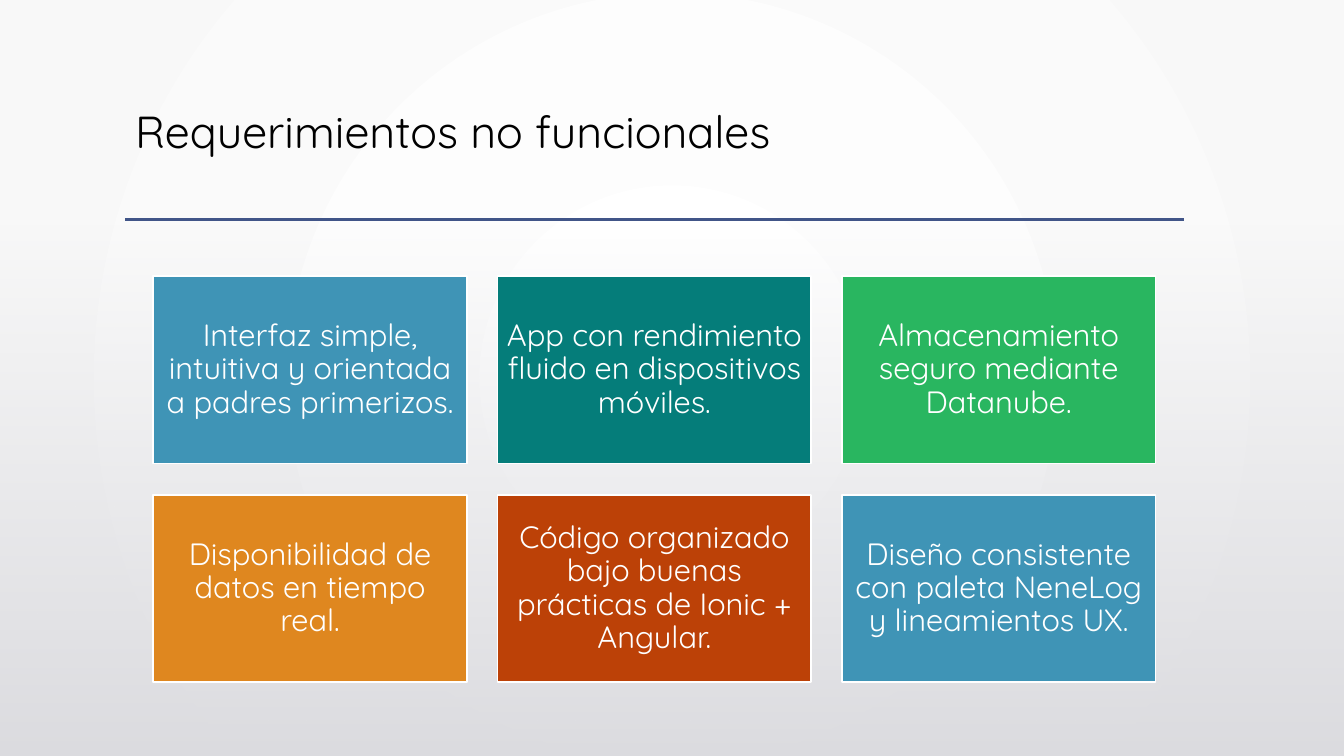
from lxml.etree import SubElement
from pptx import Presentation
from pptx.dml.color import RGBColor
from pptx.enum.shapes import MSO_CONNECTOR, MSO_SHAPE
from pptx.enum.text import MSO_ANCHOR, MSO_AUTO_SIZE, PP_ALIGN
from pptx.oxml import parse_xml
from pptx.oxml.ns import nsdecls, qn
from pptx.util import Inches, Pt

WIDE, HIGH = 13.33, 7.5
LEFT, WIDTH, RULE = 1.24, 10.5, 2.18
COLS, ROWS = 3, 2
GRID = {"left": 1.52, "top": 2.74, "width": 9.94, "height": 4.03}
TILE = {"width": 3.11, "height": 1.86}
HUES = {
    "white": "FFFFFF", "black": "000000", "pale": "F8F8F8", "mist": "DCDCE0",
    "rule": "415588", "blue": "3F94B6", "teal": "057D7A", "green": "29B660",
    "amber": "DF871F", "rust": "BC4107",
}
NEEDS = [
    ("blue", "Interfaz simple, intuitiva y orientada a padres primerizos."),
    ("teal", "App con rendimiento fluido en dispositivos móviles."),
    ("green", "Almacenamiento seguro mediante Datanube."),
    ("amber", "Disponibilidad de datos en tiempo real."),
    ("rust", "Código organizado bajo buenas prácticas de Ionic + Angular."),
    ("blue", "Diseño consistente con paleta NeneLog y lineamientos UX."),
]


def color(name):
    return RGBColor.from_string(HUES[name])


def apply(target, values):
    for name, value in values.items():
        setattr(target, name, value)


def blend(root, stops, shade):
    marks = "".join(
        f'<a:gs pos="{pos}"><a:srgbClr val="{HUES[hue]}">'
        f'<a:alpha val="{alpha}"/></a:srgbClr></a:gs>'
        for pos, hue, alpha in stops)
    fill = parse_xml(
        f'<a:gradFill {nsdecls("a")} rotWithShape="1">'
        f'<a:gsLst>{marks}</a:gsLst>{shade}</a:gradFill>')
    solid = root.find(".//" + qn("a:solidFill"))
    solid.getparent().replace(solid, fill)


def write(shape, text, size, hue, align, anchor, inset):
    frame = shape.text_frame
    frame.text = text
    sides = {f"margin_{side}": Inches(gap) for side, gap in inset.items()}
    apply(frame, {"word_wrap": True, "auto_size": MSO_AUTO_SIZE.NONE,
                  "vertical_anchor": anchor, **sides})
    line = frame.paragraphs[0]
    apply(line, {"alignment": align, "line_spacing": 0.9})
    apply(line.font, {"name": "Quicksand", "size": Pt(size), "bold": False})
    line.font.color.rgb = color(hue)


def box(slide, left, top, width, height, hue):
    shape = slide.shapes.add_shape(
        MSO_SHAPE.RECTANGLE, *map(Inches, (left, top, width, height)))
    shape.shadow.inherit = False
    shape.fill.solid()
    shape.fill.fore_color.rgb = color(hue)
    return shape


def backdrop(slide):
    slide.background.fill.solid()
    blend(slide.element, [(0, "white", 100000), (100000, "pale", 100000)],
          '<a:path path="circle"><a:fillToRect l="50000" t="50000" '
          'r="50000" b="50000"/></a:path>')
    top = 2.21
    fade = box(slide, 0, top, WIDE, HIGH - top, "mist")
    fade.line.fill.background()
    blend(fade.element, [(0, "mist", 0), (100000, "mist", 100000)],
          '<a:lin ang="5400000" scaled="0"/>')


def heading(slide, text):
    title = slide.shapes.title
    apply(title, {"left": Inches(LEFT), "top": Inches(1.04),
                  "width": Inches(WIDTH), "height": Inches(1.15)})
    write(title, text, 32, "black", PP_ALIGN.LEFT, MSO_ANCHOR.TOP,
          {"left": 0.1, "right": 0.1, "top": 0.05, "bottom": 0.05})


def rule(slide):
    line = slide.shapes.add_connector(
        MSO_CONNECTOR.STRAIGHT,
        *map(Inches, (LEFT, RULE, LEFT + WIDTH, RULE)))
    line.line.width = Pt(2.5)
    line.line.color.rgb = color("rule")
    SubElement(line.element.spPr, qn("a:effectLst"))


def tile(slide, index, hue, text):
    row, col = divmod(index, COLS)
    across = (GRID["width"] - TILE["width"]) / (COLS - 1)
    down = (GRID["height"] - TILE["height"]) / (ROWS - 1)
    shape = box(slide, GRID["left"] + col * across, GRID["top"] + row * down,
                TILE["width"], TILE["height"], hue)
    shape.line.width = Pt(1.25)
    shape.line.color.rgb = color("white")
    write(shape, text, 22, "white", PP_ALIGN.CENTER, MSO_ANCHOR.MIDDLE,
          dict.fromkeys(("left", "right", "top", "bottom"), 0.09))


def main():
    deck = Presentation()
    apply(deck, {"slide_width": Inches(WIDE), "slide_height": Inches(HIGH)})
    slide = deck.slides.add_slide(deck.slide_layouts[5])
    backdrop(slide)
    heading(slide, "Requerimientos no funcionales")
    rule(slide)
    for index, (hue, text) in enumerate(NEEDS):
        tile(slide, index, hue, text)
    deck.save("out.pptx")


if __name__ == "__main__":
    main()
